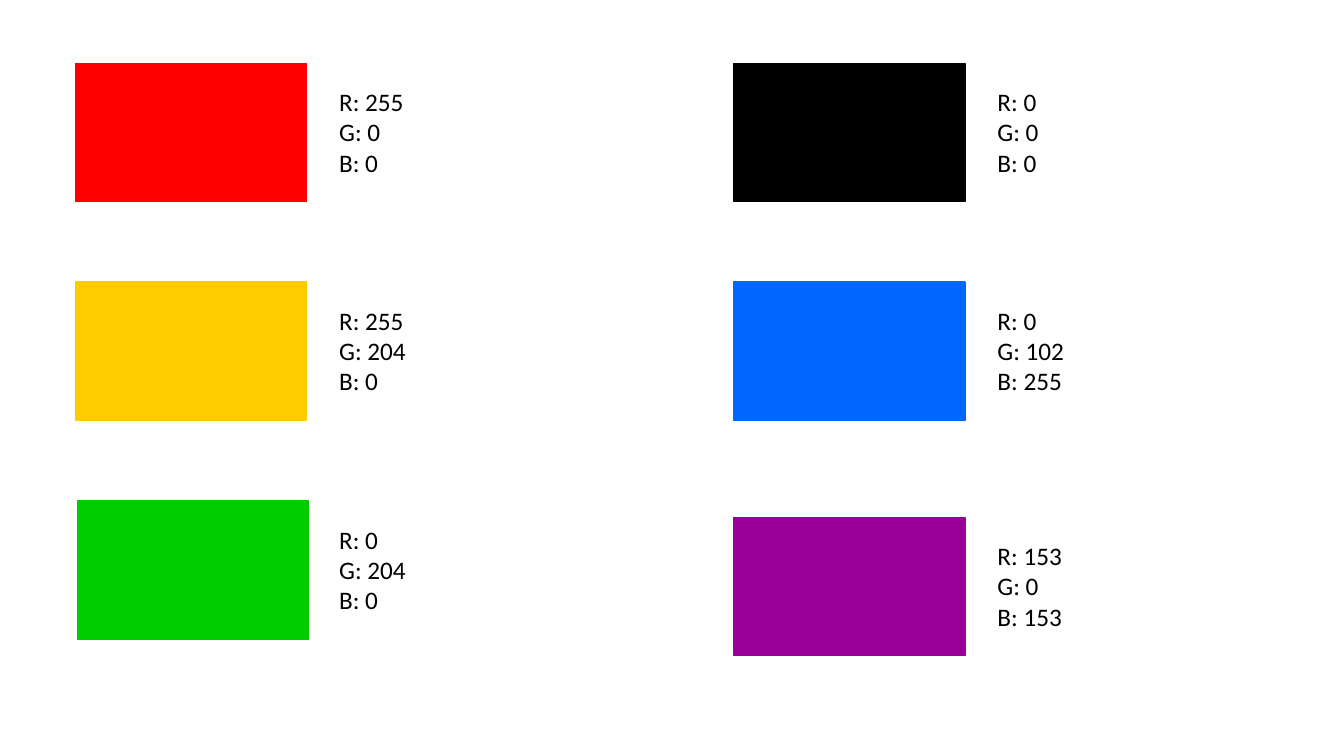
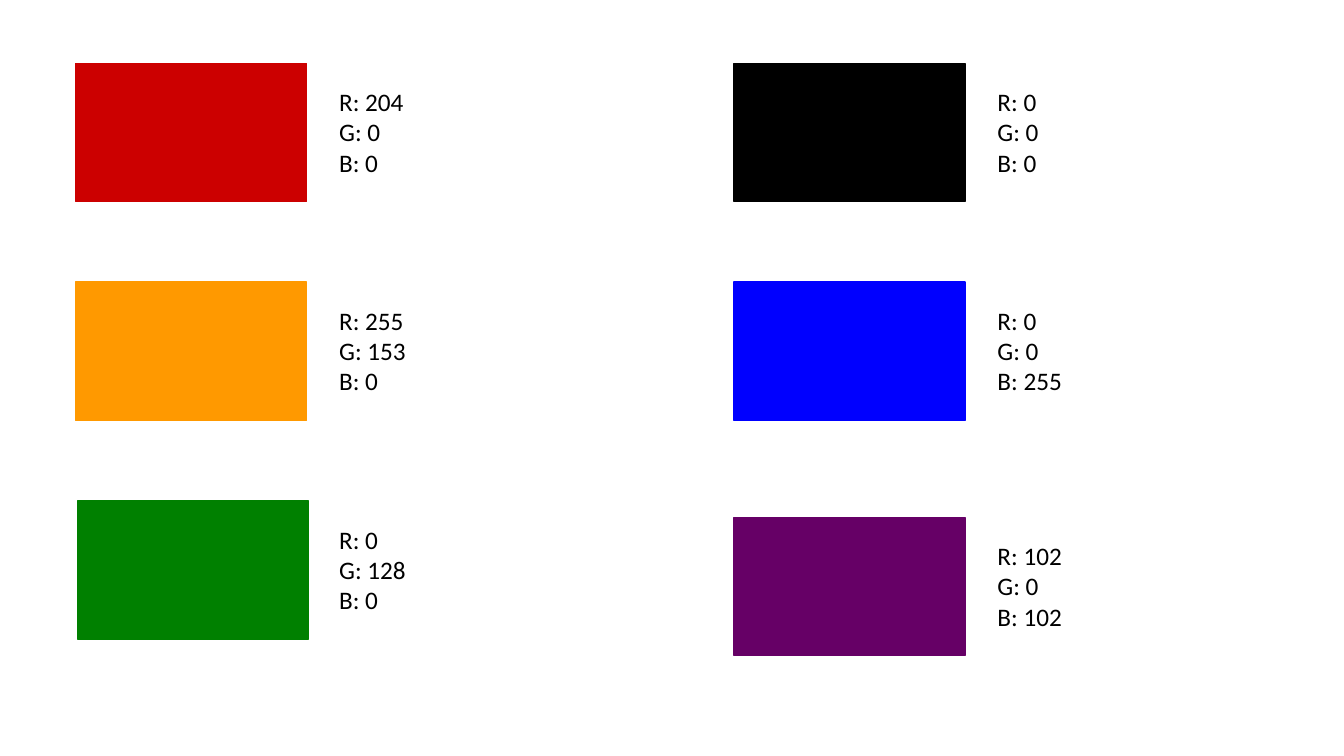
from pptx import Presentation
from pptx.dml.color import RGBColor
from pptx.enum.shapes import MSO_SHAPE as Shape
from pptx.enum.text import MSO_AUTO_SIZE as AutoSize
from pptx.util import Pt

# Colours
BLACK = RGBColor(0, 0, 0)
RED = RGBColor(255, 0, 0)
YELLOW = RGBColor(255, 204, 0)
GREEN = RGBColor(0, 204, 0)
SKY_BLUE = RGBColor(0, 102, 255)
PURPLE = RGBColor(153, 0, 153)
DARK_RED = RGBColor(204, 0, 0)
ORANGE = RGBColor(255, 153, 0)
DARK_GREEN = RGBColor(0, 128, 0)
BLUE = RGBColor(0, 0, 255)
DARK_PURPLE = RGBColor(102, 0, 102)

# Each palette lists its left column, then its right column, from the top
BRIGHT_PALETTE = [[RED, YELLOW, GREEN], [BLACK, SKY_BLUE, PURPLE]]
DEEP_PALETTE = [[DARK_RED, ORANGE, DARK_GREEN], [BLACK, BLUE, DARK_PURPLE]]

# Layout, in points
FONT = "Calibri"
GRID_LEFT, GRID_TOP = 54, 45.2
COLUMN_PITCH, ROW_PITCH = 470.2, 156.3
SWATCH_WIDTH, SWATCH_HEIGHT = 165, 98.8
LABEL_LEFT, LABEL_TOP = 181.2, 13
LABEL_WIDTH, LABEL_HEIGHT = 117.4, 72.7
SWATCH_SHIFT = {(0, 2): 1.4}  # (column, row): shift to the right
ENTRY_DROP = {(1, 2): 11.7}  # (column, row): shift downwards


def add_swatch(page, left, top, color):
    swatch = page.shapes.add_shape(
        Shape.RECTANGLE, Pt(left), Pt(top), Pt(SWATCH_WIDTH), Pt(SWATCH_HEIGHT))
    swatch.shadow.inherit = False
    swatch.fill.solid()
    swatch.fill.fore_color.rgb = color
    swatch.line.color.rgb = color
    swatch.line.width = Pt(1)


def add_label(page, left, top, color):
    box = page.shapes.add_textbox(
        Pt(left), Pt(top), Pt(LABEL_WIDTH), Pt(LABEL_HEIGHT))
    frame = box.text_frame
    frame.word_wrap = True
    frame.auto_size = AutoSize.SHAPE_TO_FIT_TEXT
    frame.text = "\n".join(
        f"{channel}: {value}" for channel, value in zip("RGB", color))
    for para in frame.paragraphs:
        para.font.name = FONT
        para.font.size = Pt(18)
        para.font.color.rgb = BLACK


def add_palette_page(deck, palette):
    page = deck.slides.add_slide(deck.slide_layouts[6])
    for column, colors in enumerate(palette):
        for row, color in enumerate(colors):
            cell = (column, row)
            left = GRID_LEFT + column * COLUMN_PITCH
            top = GRID_TOP + row * ROW_PITCH + ENTRY_DROP.get(cell, 0)
            add_swatch(page, left + SWATCH_SHIFT.get(cell, 0), top, color)
            add_label(page, left + LABEL_LEFT, top + LABEL_TOP, color)


deck = Presentation()
deck.slide_width, deck.slide_height = Pt(960), Pt(540)
for palette in (BRIGHT_PALETTE, DEEP_PALETTE):
    add_palette_page(deck, palette)
deck.save("out.pptx")
